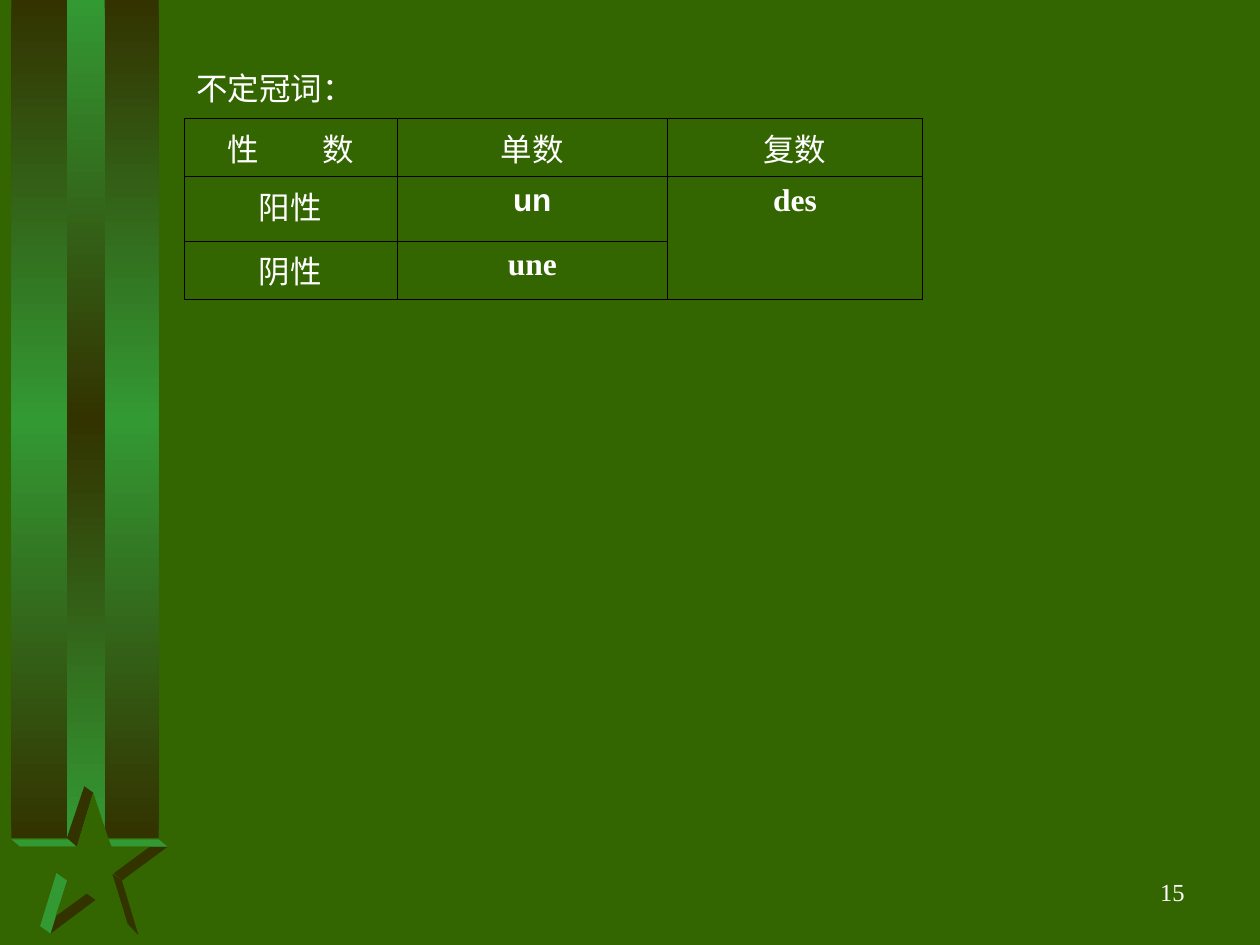
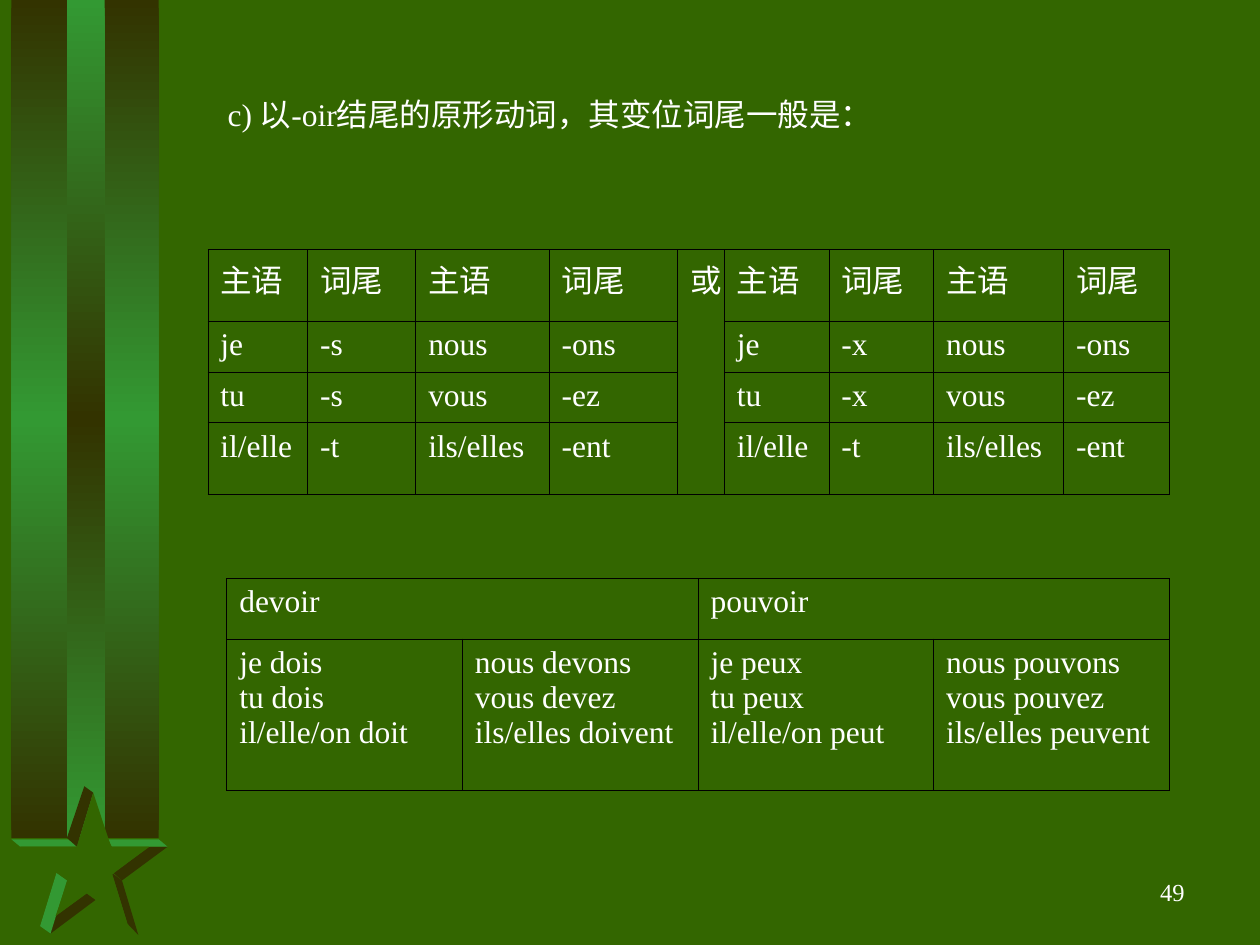
from copy import deepcopy

from lxml import etree
from pptx import Presentation
from pptx import util as u
from pptx.dml.color import RGBColor
from pptx.enum import shapes, text
from pptx.oxml import ns

COLOURS = {"ground": "336600", "dark": "333300", "light": "339933",
           "text": "FFFFFF", "rule": "000000"}
SERIF, SANS = "Times New Roman", "Arial"
LEFT, CENTRE, RIGHT = text.PP_ALIGN.LEFT, text.PP_ALIGN.CENTER, text.PP_ALIGN.RIGHT

BANDS = [  # left, width, edge colour, middle colour
    (0.23, 2.97, "dark", "light"),
    (1.35, 0.76, "light", "dark"),
]
BAND_HEIGHT = 16.89
STAR_FACETS = [
    ("dark", [(2.29, 17.6), (2.46, 17.75), (3.38, 17.07), (3.02, 17.07)]),
    ("light", [(0.23, 16.92), (0.41, 17.07), (1.57, 17.07), (1.37, 16.92)]),
    ("dark", [(1.55, 17.07), (1.88, 15.98), (1.7, 15.85), (1.35, 16.89)]),
    ("light", [(2.26, 17.07), (2.18, 16.92), (3.2, 16.92), (3.38, 17.07)]),
    ("dark", [(0.84, 18.67), (1.02, 18.82), (1.93, 18.14), (1.75, 18.01)]),
    ("dark", [(2.57, 18.62), (2.79, 18.85), (2.46, 17.75), (2.26, 17.6)]),
    ("light", [(1.02, 18.82), (1.35, 17.75), (1.14, 17.6), (0.81, 18.67)]),
    ("ground", [(1.88, 15.98), (1.55, 17.07), (0.41, 17.07), (1.37, 17.75),
                (1.12, 18.47), (1.75, 18.01), (2.57, 18.62), (2.26, 17.63),
                (3.0, 17.07), (2.24, 17.07)]),
]


def rgb(name):
    return RGBColor.from_string(COLOURS[name])


def write(frame, content, size=18, font=SERIF, bold=False, align=LEFT, tab=None):
    """Fill a text frame, one paragraph per line; tab is a stop in cm."""
    for index, line in enumerate(content.split("\n")):
        paragraph = frame.paragraphs[0] if index == 0 else frame.add_paragraph()
        paragraph.alignment = align
        if tab:
            stops = etree.SubElement(paragraph._p.get_or_add_pPr(), ns.qn("a:tabLst"))
            etree.SubElement(stops, ns.qn("a:tab"), pos=str(u.Cm(tab)), algn="l")
        run = paragraph.add_run()
        run.text = line
        run.font.size = u.Pt(size)
        run.font.name = font
        run.font.bold = bold
        run.font.color.rgb = rgb("text")


def add_label(slide, content, left, top, width, height,
              anchor=text.MSO_ANCHOR.TOP, **style):
    box = slide.shapes.add_textbox(*map(u.Cm, (left, top, width, height)))
    box.text_frame.word_wrap = True
    box.text_frame.vertical_anchor = anchor
    write(box.text_frame, content, **style)


def add_band(slide, left, width, edge, middle):
    band = slide.shapes.add_shape(shapes.MSO_SHAPE.RECTANGLE, u.Cm(left), 0,
                                  u.Cm(width), u.Cm(BAND_HEIGHT))
    band.shadow.inherit = False
    band.line.fill.background()
    band.fill.gradient()
    band.fill.gradient_angle = 90
    stops = next(band._element.iter(ns.qn("a:gsLst")))
    stops.append(deepcopy(stops[0]))
    for stop, position, colour in zip(band.fill.gradient_stops, (0, 0.5, 1),
                                      (edge, middle, edge)):
        stop.position = position
        stop.color.rgb = rgb(colour)


def add_facet(slide, colour, corners):
    start, *others = [(u.Cm(x), u.Cm(y)) for x, y in corners]
    outline = slide.shapes.build_freeform(*start)
    outline.add_line_segments(others, close=True)
    facet = outline.convert_to_shape()
    facet.shadow.inherit = False
    facet.line.fill.background()
    facet.fill.solid()
    facet.fill.fore_color.rgb = rgb(colour)


def rule_cell(cell, width=0.45):
    """Draw all four borders of a cell."""
    properties = cell._tc.get_or_add_tcPr()
    for index, side in enumerate(("lnL", "lnR", "lnT", "lnB")):
        border = etree.Element(ns.qn(f"a:{side}"), w=str(u.Pt(width)))
        fill = etree.SubElement(border, ns.qn("a:solidFill"))
        etree.SubElement(fill, ns.qn("a:srgbClr"), val=COLOURS["rule"])
        properties.insert(index, border)


def add_grid(slide, left, top, widths, heights, rows, spans, **style):
    """Add a ruled table. A cell is a string, a dict of content and format,
    or None where a span (row, column, last row, last column) covers it."""
    frame = slide.shapes.add_table(len(heights), len(widths), u.Cm(left), u.Cm(top),
                                   u.Cm(sum(widths)), u.Cm(sum(heights)))
    table = frame.table
    table.first_row = table.horz_banding = False
    for column, width in zip(table.columns, widths):
        column.width = u.Cm(width)
    for row, height in zip(table.rows, heights):
        row.height = u.Cm(height)
    for r, row in enumerate(rows):
        for c, entry in enumerate(row):
            cell = table.cell(r, c)
            cell.fill.background()
            rule_cell(cell)
            if entry is None:
                continue
            if isinstance(entry, str):
                entry = {"content": entry}
            entry = {**style, **entry}
            if "indent" in entry:
                cell.margin_left = u.Cm(entry.pop("indent"))
            write(cell.text_frame, **entry)
    for r, c, last_r, last_c in spans:
        table.cell(r, c).merge(table.cell(last_r, last_c))


def add_lesson_slide(prs, number):
    """Add a slide with the bands, the star and the page number."""
    slide = prs.slides.add_slide(prs.slide_layouts[6])
    for band in BANDS:
        add_band(slide, *band)
    for facet in STAR_FACETS:
        add_facet(slide, *facet)
    add_label(slide, str(number), 18.85, 17.35, 5.28, 1.27,
              anchor=text.MSO_ANCHOR.MIDDLE, size=14, align=RIGHT)
    return slide


def ending_rows(singular):
    """Subjects and endings, given the ending shared by je and tu."""
    return [["主语", "词尾"] * 2,
            ["je", singular, "nous", "-ons"],
            ["tu", singular, "vous", "-ez"],
            ["il/elle", "-t", "ils/elles", "-ent"]]


def add_articles(prs):
    slide = add_lesson_slide(prs, 15)
    add_label(slide, "不定冠词：", 3.71, 1.27, 11.13, 1.02)
    corner = {"content": "性\t数", "align": LEFT, "indent": 0.88, "tab": 1.91}
    rows = [
        [corner, "单数", "复数"],
        ["阳性", {"content": "un", "font": SANS, "bold": True},
         {"content": "des", "bold": True}],
        ["阴性", {"content": "une", "bold": True}, None],
    ]
    add_grid(slide, 3.71, 2.39, [4.29, 5.46, 5.13], [1.17, 1.3, 1.17], rows,
             spans=[(1, 2, 2, 2)], align=CENTRE)


def add_oir_verbs(prs):
    slide = add_lesson_slide(prs, 49)
    add_label(slide, "c) 以-oir结尾的原形动词，其变位词尾一般是：",
              4.34, 1.78, 13.94, 1.02, anchor=text.MSO_ANCHOR.MIDDLE)

    dividers = ["或", None, None, None]
    endings = [with_s + [divider] + with_x for with_s, divider, with_x
               in zip(ending_rows("-s"), dividers, ending_rows("-x"))]
    add_grid(slide, 4.19, 5.03,
             [2.01, 2.18, 2.69, 2.59, 0.94, 2.11, 2.11, 2.62, 2.13],
             [1.45, 1.02, 1.02, 1.45], endings, spans=[(0, 4, 3, 4)])

    conjugations = [
        ["devoir", None, "pouvoir", None],
        ["je dois\ntu dois\nil/elle/on doit",
         "nous devons\nvous devez\nils/elles doivent",
         "je peux\ntu peux\nil/elle/on peut",
         "nous pouvons\nvous pouvez\nils/elles peuvent"],
    ]
    add_grid(slide, 4.57, 11.66, [4.75] * 4, [1.22, 3.05], conjugations,
             spans=[(0, 0, 0, 1), (0, 2, 0, 3)])


def main():
    prs = Presentation()
    prs.slide_width, prs.slide_height = u.Cm(25.4), u.Cm(19.05)
    ground = prs.slide_master.background.fill
    ground.solid()
    ground.fore_color.rgb = rgb("ground")
    add_articles(prs)
    add_oir_verbs(prs)
    prs.save("out.pptx")


if __name__ == "__main__":
    main()
